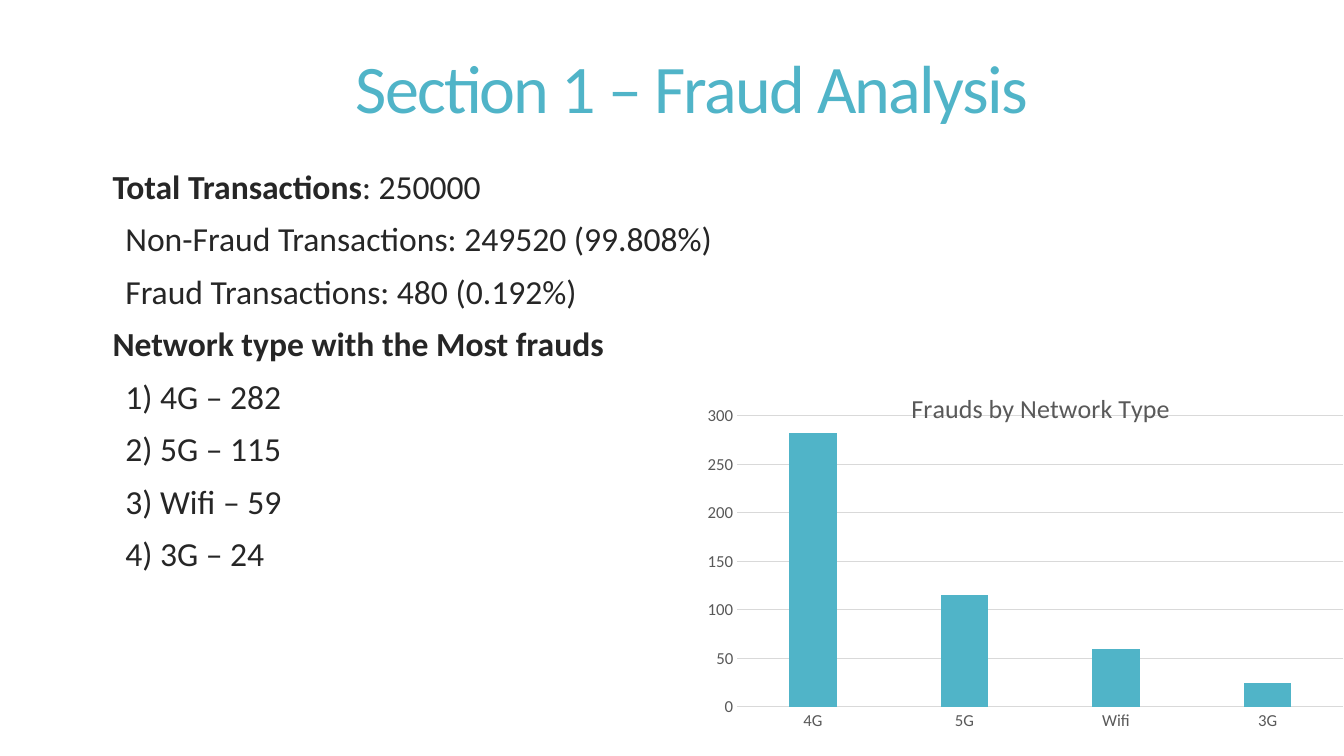
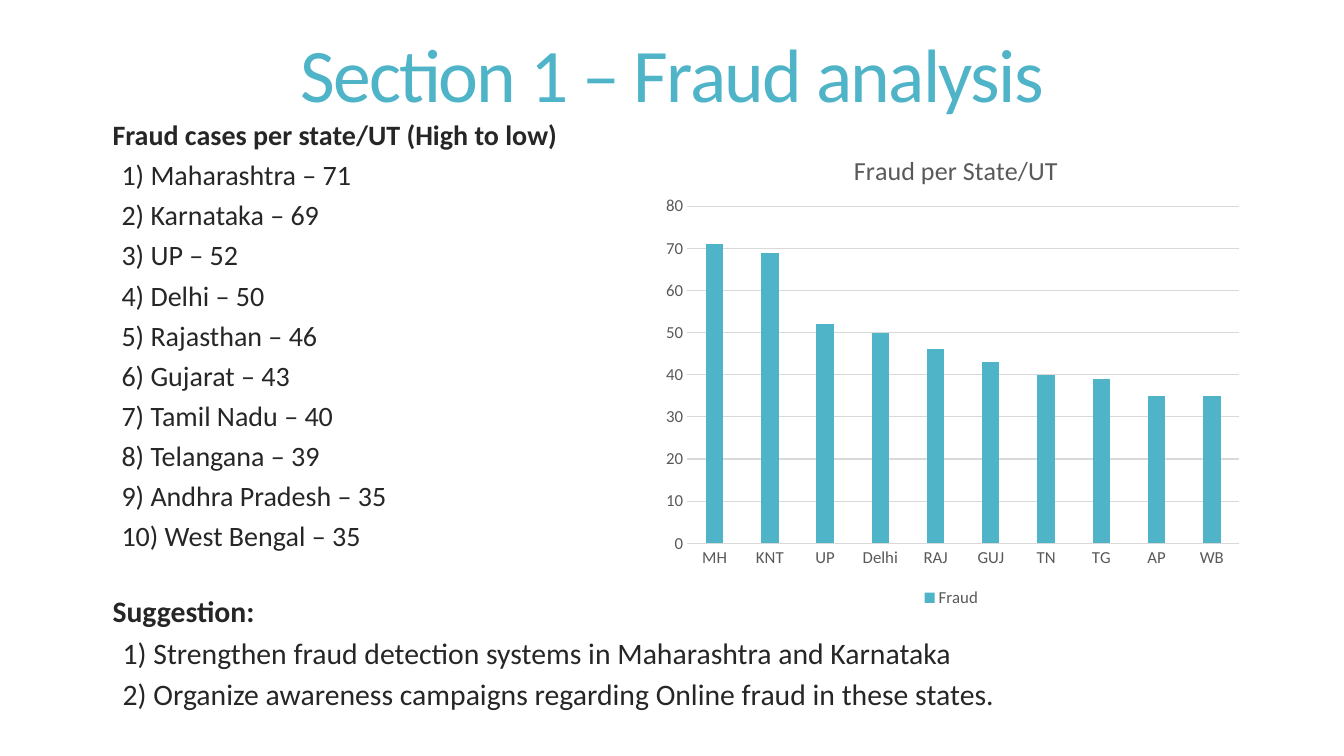
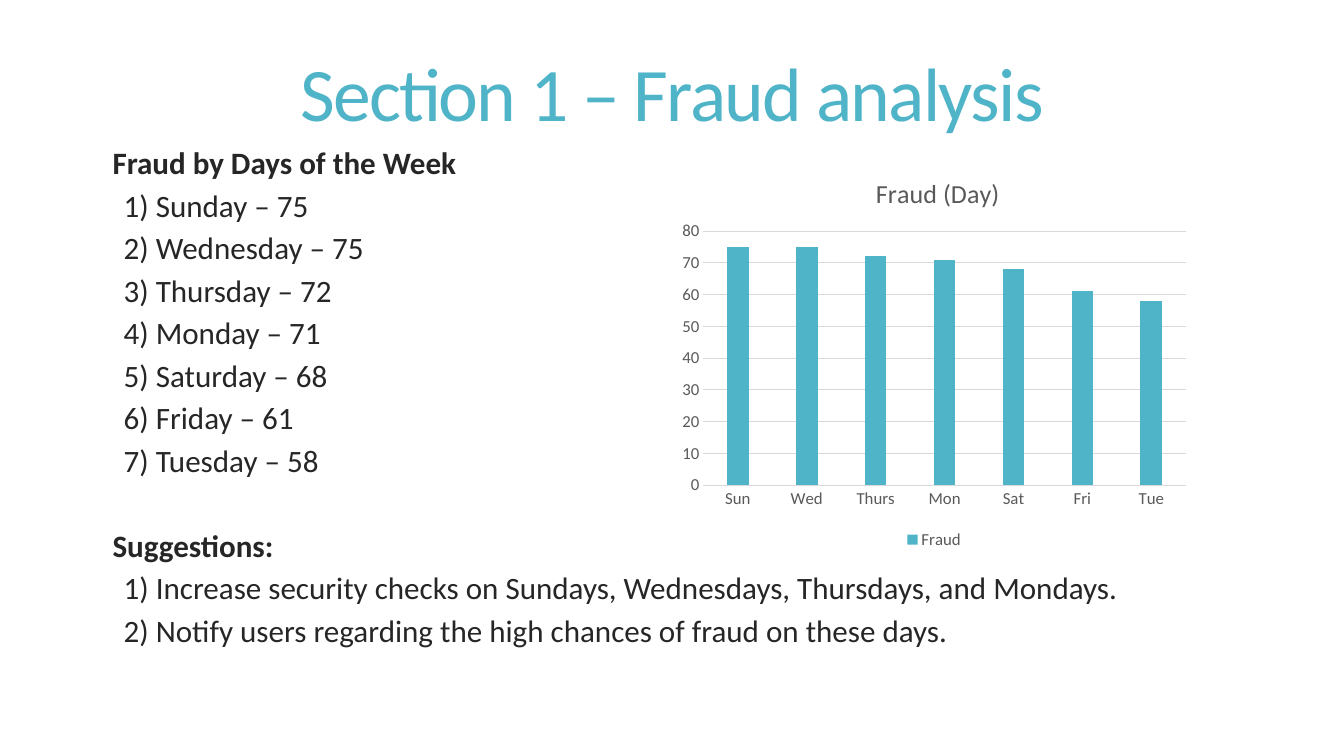
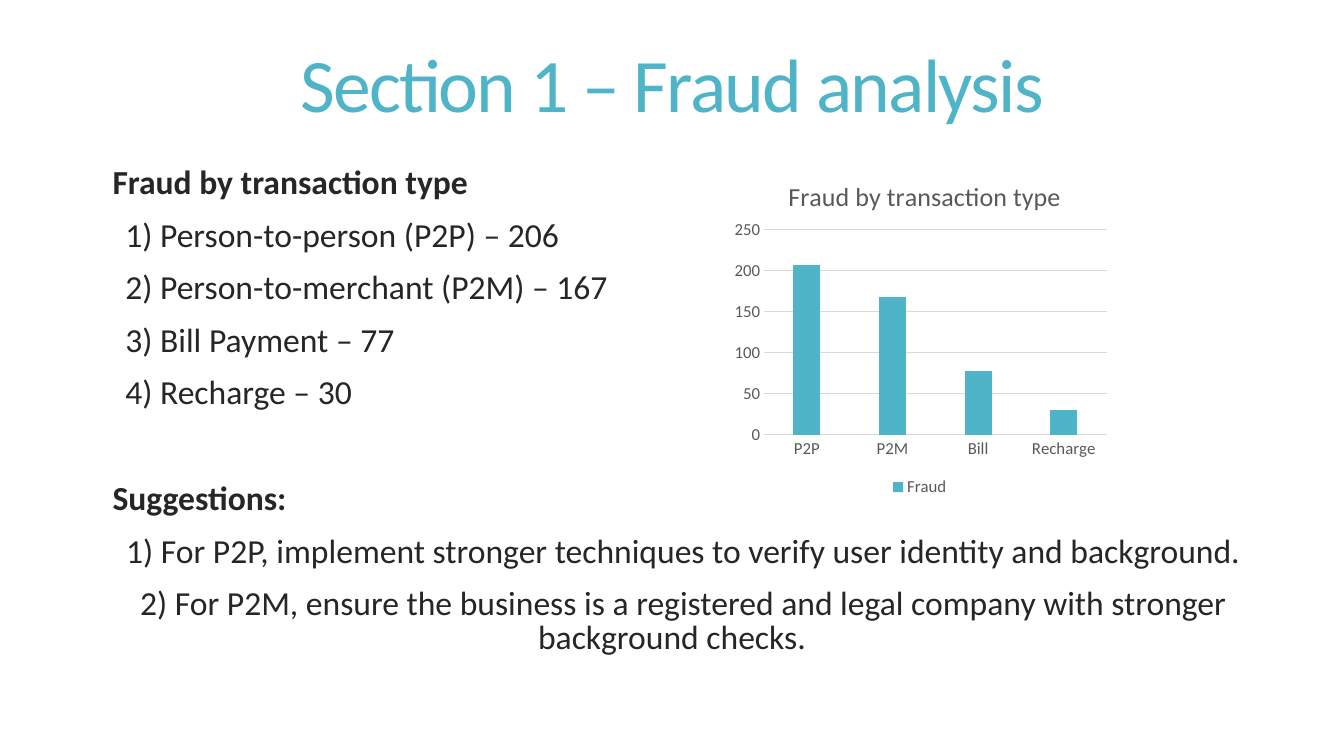
from lxml.etree import SubElement as Sub
from pptx import Presentation
from pptx.chart.data import CategoryChartData as Data
from pptx.dml.color import RGBColor
from pptx.enum.chart import XL_CHART_TYPE as Kind, XL_LEGEND_POSITION as Spot, XL_TICK_MARK as Tick
from pptx.enum.text import MSO_ANCHOR as Anchor, MSO_AUTO_SIZE as Fit, PP_ALIGN as Align
from pptx.oxml import parse_xml
from pptx.oxml.ns import nsdecls, qn
from pptx.util import Pt

TEAL, DARK, GREY, PALE = "50B4C8", "262626", "595959", "D9D9D9"
FACE = "Calibri"


def ink(code):
    return RGBColor.from_string(code)


def style(font, size, color, bold=False):
    font.name, font.size, font.bold = FACE, Pt(size), bold
    font.color.rgb = ink(color)


def put(para, text, size=24, color=DARK, bold=False, space=None):
    run = para.add_run()
    run.text = text
    style(run.font, size, color, bold)
    if space:
        run._r.get_or_add_rPr().set("spc", str(space))


def place(shape, left, top, wide, high):
    shape.left, shape.top, shape.width, shape.height = map(Pt, (left, top, wide, high))


def layout(node, index, spot, inner=False):
    for old in node.findall(qn("c:layout")):
        node.remove(old)
    box = parse_xml(f"<c:layout {nsdecls('c')}><c:manualLayout/></c:layout>")
    rules = [("layoutTarget", "inner")] if inner else []
    rules += [("xMode", "edge"), ("yMode", "edge"), *zip("xywh", spot)]
    for name, val in rules:
        Sub(box[0], qn("c:" + name)).set("val", str(val))
    node.insert(index, box)


class Deck:
    left, wide = 66, 828

    def __init__(self):
        self.file = Presentation()
        self.file.slide_width, self.file.slide_height = Pt(960), Pt(540)

    def page(self, title, top, size=54, left=left, anchor=Anchor.MIDDLE):
        self.slide = self.file.slides.add_slide(self.file.slide_layouts[1])
        head = self.slide.shapes.title
        place(head, left, top, self.wide, 104.4)
        frame = head.text_frame
        frame.auto_size, frame.vertical_anchor = Fit.NONE, anchor
        para = frame.paragraphs[0]
        para.alignment, para.line_spacing = Align.CENTER, 0.85
        put(para, title, size=size, color=TEAL, space=-120)

    def body(self, top, high, pitch=0.85):
        shape = self.slide.placeholders[1]
        place(shape, self.left, top, self.wide, high)
        self.frame, self.pitch, self.fresh = shape.text_frame, pitch, True
        self.frame.auto_size = Fit.NONE

    def line(self, gap, margin, indent, align=Align.LEFT):
        para = self.frame.paragraphs[0] if self.fresh else self.frame.add_paragraph()
        self.fresh = False
        para.alignment, para.line_spacing, para.space_before = align, self.pitch, Pt(gap)
        props = para._p.get_or_add_pPr()
        props.set("marL", str(Pt(margin)))
        props.set("indent", str(Pt(indent)))
        Sub(props, qn("a:buNone"))
        return para

    def block(self, head, items, size=24, gap=13, align=Align.LEFT):
        bold, _, plain = head.partition("|")
        para = self.line(gap, 7.2, 0)
        put(para, bold, size=size, bold=True)
        if plain:
            put(para, plain, size=size)
        for item in items:
            put(self.line(13, 0, 0.68 * size, align), item, size=size)

    def list(self, head, items, **form):
        self.block(head, [f"{n}) {item}" for n, item in enumerate(items, 1)], **form)

    def chart(self, title, cats, vals, box, spot, plot, name="Fraud", legend=True):
        data = Data()
        data.categories = cats
        data.add_series(name, vals)
        chart = self.slide.shapes.add_chart(Kind.COLUMN_CLUSTERED, *map(Pt, box), data).chart
        style(chart.font, 12, GREY)
        chart.has_title = True
        put(chart.chart_title.text_frame.paragraphs[0], title, size=18.6, color=GREY)
        layout(chart.chart_title._element, 1, spot)
        layout(chart._chartSpace.chart.plotArea, 0, plot, inner=True)
        chart.has_legend = legend
        if legend:
            chart.legend.position, chart.legend.include_in_layout = Spot.BOTTOM, False
            style(chart.legend.font, 12, GREY)
        bars = chart.plots[0]
        bars.gap_width, bars.overlap, bars.vary_by_categories = 219, -27, False
        fill = bars.series[0].format.fill
        fill.solid()
        fill.fore_color.rgb = ink(TEAL)
        base, scale = chart.category_axis, chart.value_axis
        for axis in (base, scale):
            axis.major_tick_mark = axis.minor_tick_mark = Tick.NONE
            style(axis.tick_labels.font, 12, GREY)
        scale.has_major_gridlines = True
        scale.format.line.fill.background()
        for rule in (base.format.line, scale.major_gridlines.format.line):
            rule.color.rgb, rule.width = ink(PALE), Pt(0.75)


def main():
    deck = Deck()

    deck.page("Section 1 – Fraud Analysis", 38, size=48.6, left=80, anchor=Anchor.TOP)
    deck.body(119, 399)
    deck.block("Total Transactions|: 250000", [
        "Non-Fraud Transactions: 249520 (99.808%)", "Fraud Transactions: 480 (0.192%)"])
    nets = {"4G": 282, "5G": 115, "Wifi": 59, "3G": 24}
    deck.list("Network type with the Most frauds", [f"{k} – {v}" for k, v in nets.items()])
    deck.chart("Frauds by Network Type", list(nets), list(nets.values()), (494, 270, 466, 270),
               (0.33, 0.02), (0.1, 0.1, 0.93, 0.77), name="Series 1", legend=False)

    again = "Section 1 – Fraud analysis"
    deck.page(again, 4.5)
    deck.body(88, 430.5, pitch=0.65)
    states = [("Maharashtra", "MH", 71), ("Karnataka", "KNT", 69), ("UP", "UP", 52),
              ("Delhi", "Delhi", 50), ("Rajasthan", "RAJ", 46), ("Gujarat", "GUJ", 43),
              ("Tamil Nadu", "TN", 40), ("Telangana", "TG", 39),
              ("Andhra Pradesh", "AP", 35), ("West Bengal", "WB", 35)]
    names, cats, vals = zip(*states)
    deck.list("Fraud cases per state/UT (High to low)",
              [f"{k} – {v}" for k, v in zip(names, vals)], size=20)
    deck.list("Suggestion:", [
        "Strengthen fraud detection systems in Maharashtra and Karnataka",
        "Organize awareness campaigns regarding Online fraud in these states."],
        size=21.2, gap=38)
    deck.chart("Fraud per State/UT", cats, vals, (465, 88, 429, 349),
               (0.33, 0.05), (0.06, 0.17, 0.92, 0.69))

    deck.page(again, 18)
    deck.body(107.5, 379, pitch=0.65)
    days = [("Sunday", "Sun", 75), ("Wednesday", "Wed", 75), ("Thursday", "Thurs", 72),
            ("Monday", "Mon", 71), ("Saturday", "Sat", 68), ("Friday", "Fri", 61),
            ("Tuesday", "Tue", 58)]
    names, cats, vals = zip(*days)
    deck.list("Fraud by Days of the Week",
              [f"{k} – {v}" for k, v in zip(names, vals)], size=22.2)
    deck.list("Suggestions:", [
        "Increase security checks on Sundays, Wednesdays, Thursdays, and Mondays.",
        "Notify users regarding the high chances of fraud on these days."],
        size=22.2, gap=43.6)
    deck.chart("Fraud (Day)", cats, vals, (480, 107.5, 374.5, 288),
               (0.38, 0.05), (0.06, 0.2, 0.92, 0.63))

    deck.page(again, 11.5)
    deck.body(116, 393)
    types = [("Person-to-person (P2P)", "P2P", 206), ("Person-to-merchant (P2M)", "P2M", 167),
             ("Bill Payment", "Bill", 77), ("Recharge", "Recharge", 30)]
    names, cats, vals = zip(*types)
    deck.list("Fraud by transaction type", [f"{k} – {v}" for k, v in zip(names, vals)])
    deck.list("Suggestions:", [
        "For P2P, implement stronger techniques to verify user identity and background.",
        "For P2M, ensure the business is a registered and legal company with stronger "
        "background checks."], gap=51, align=Align.CENTER)
    deck.chart("Fraud by transaction type", cats, vals, (518, 109, 278, 249),
               (0.15, 0.06), (0.1, 0.22, 0.88, 0.59))

    deck.file.save("out.pptx")


if __name__ == "__main__":
    main()
